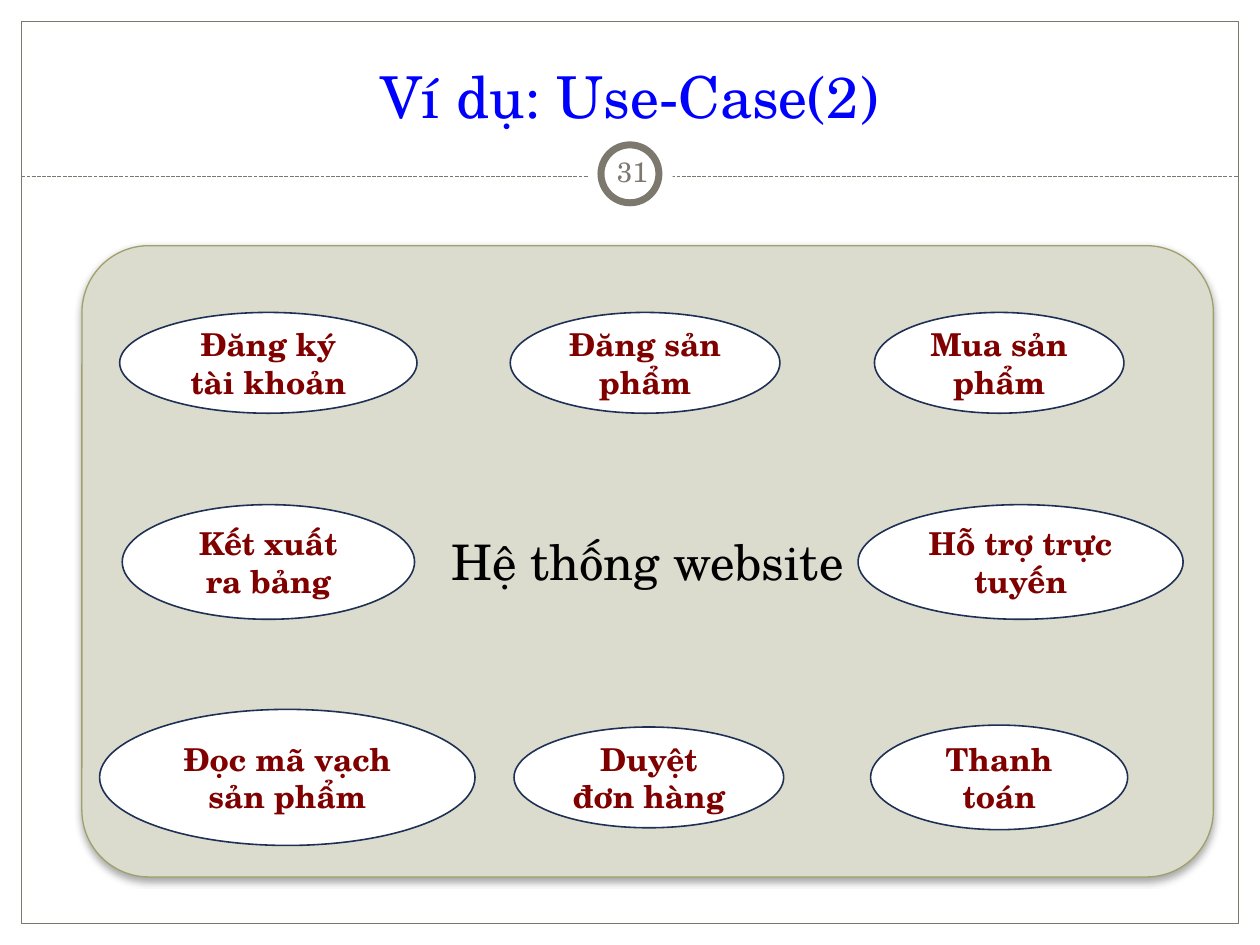
from lxml.etree import SubElement
from pptx import Presentation
from pptx.dml.color import RGBColor
from pptx.enum.dml import MSO_LINE
from pptx.enum.shapes import MSO_CONNECTOR, MSO_SHAPE
from pptx.enum.text import MSO_ANCHOR, PP_ALIGN
from pptx.oxml import parse_xml
from pptx.oxml.ns import nsdecls, qn
from pptx.util import Inches, Pt

FONT = "TeX Gyre Schola"
WHITE = RGBColor(0xFF, 0xFF, 0xFF)
BLACK = RGBColor(0x00, 0x00, 0x00)
BLUE = RGBColor(0x00, 0x00, 0xFF)
MAROON = RGBColor(0x80, 0x00, 0x00)
NAVY = RGBColor(0x1E, 0x30, 0x54)
TAUPE = RGBColor(0x7D, 0x78, 0x6D)
OLIVE = RGBColor(0xA0, 0xA1, 0x6A)
STONE = RGBColor(0xDB, 0xDB, 0xCE)

TITLE = "Ví dụ: Use-Case(2)"
PAGE_NUMBER = "31"
SYSTEM_NAME = "Hệ thống website"

# Each row: vertical centre, then (text, horizontal centre, width, height)
USE_CASE_ROWS = [
    (2.88, [("Đăng ký tài khoản", 2.13, 2.36, 0.8),
            ("Đăng sản phẩm", 5.12, 2.14, 0.8),
            ("Mua sản phẩm", 7.93, 1.98, 0.8)]),
    (4.46, [("Kết xuất ra bảng", 2.13, 2.32, 0.91),
            ("Hỗ trợ trực tuyến", 8.1, 2.58, 0.91)]),
    (6.17, [("Đọc mã vạch sản phẩm", 2.28, 2.98, 1.08),
            ("Duyệt đơn hàng", 5.15, 2.14, 0.8),
            ("Thanh toán", 7.93, 2.04, 0.83)]),
]

SHADOW = (f'<a:effectLst {nsdecls("a")}><a:outerShdw blurRad="{Pt(4)}" '
          f'dist="{Pt(2)}" dir="5400000" rotWithShape="0"><a:srgbClr val="000000">'
          '<a:alpha val="35000"/></a:srgbClr></a:outerShdw></a:effectLst>')


def write(shape, text, size, color, bold=False, anchor=MSO_ANCHOR.MIDDLE):
    frame = shape.text_frame
    frame.text = text
    frame.word_wrap = True
    frame.vertical_anchor = anchor
    paragraph = frame.paragraphs[0]
    paragraph.alignment = PP_ALIGN.CENTER
    font = paragraph.font
    font.name, font.size, font.bold = FONT, Pt(size), bold
    font.color.rgb = color


def add_shape(kind, left, top, width, height, fill=None, line=None, line_width=0.75):
    shape = slide.shapes.add_shape(
        kind, Inches(left), Inches(top), Inches(width), Inches(height))
    shape.shadow.inherit = False
    if fill is None:
        shape.fill.background()
    else:
        shape.fill.solid()
        shape.fill.fore_color.rgb = fill
    if line is None:
        shape.line.fill.background()
    else:
        shape.line.color.rgb = line
        shape.line.width = Pt(line_width)
    return shape


presentation = Presentation()
presentation.slide_width, presentation.slide_height = Inches(10), Inches(7.5)
slide = presentation.slides.add_slide(presentation.slide_layouts[5])

# Title
title = slide.shapes.title
title.left, title.top = Inches(0.33), Inches(0.25)
title.width, title.height = Inches(9.33), Inches(0.83)
write(title, TITLE, 33, BLUE, anchor=MSO_ANCHOR.BOTTOM)

# Page frame and dashed rule
add_shape(MSO_SHAPE.RECTANGLE, 0.17, 0.17, 9.66, 7.16, line=TAUPE)
rule = slide.shapes.add_connector(
    MSO_CONNECTOR.STRAIGHT, Inches(0.17), Inches(1.4), Inches(9.83), Inches(1.4))
rule.line.color.rgb = TAUPE
rule.line.width = Pt(0.75)
rule.line.dash_style = MSO_LINE.SQUARE_DOT
SubElement(rule._element.spPr, qn("a:effectLst"))

# Page number badge
add_shape(MSO_SHAPE.OVAL, 4.67, 1.05, 0.67, 0.67, fill=WHITE)
add_shape(MSO_SHAPE.OVAL, 4.77, 1.15, 0.46, 0.46, WHITE, TAUPE, 4)
number = slide.shapes.add_textbox(Inches(4.77), Inches(1.12), Inches(0.5), Inches(0.48))
write(number, PAGE_NUMBER, 16, TAUPE)
frame = number.text_frame
frame.margin_left = frame.margin_right = Inches(0.05)
frame.margin_top = frame.margin_bottom = Inches(0.05)

# System boundary
system = add_shape(MSO_SHAPE.ROUNDED_RECTANGLE, 0.65, 1.95, 8.98, 5.01, STONE, OLIVE)
system.adjustments[0] = 0.106
properties = system._element.spPr
properties.replace(properties.find(qn("a:effectLst")), parse_xml(SHADOW))
write(system, SYSTEM_NAME, 28, BLACK)

# Use cases
for center_y, use_cases in USE_CASE_ROWS:
    for text, center_x, width, height in use_cases:
        oval = add_shape(MSO_SHAPE.OVAL, center_x - width / 2, center_y - height / 2,
                         width, height, WHITE, NAVY, 0.9)
        write(oval, text, 18, MAROON, bold=True)

presentation.save("out.pptx")
